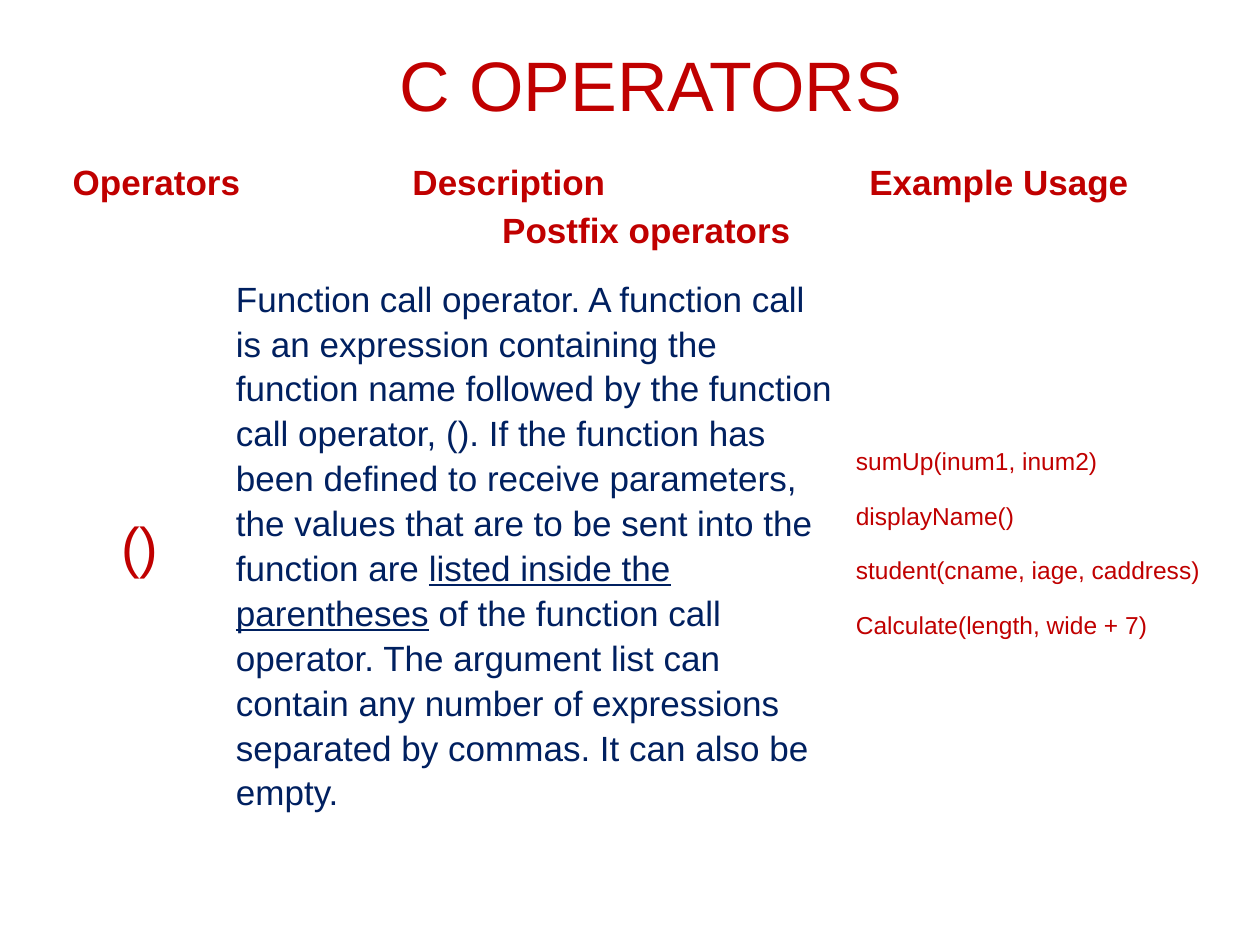
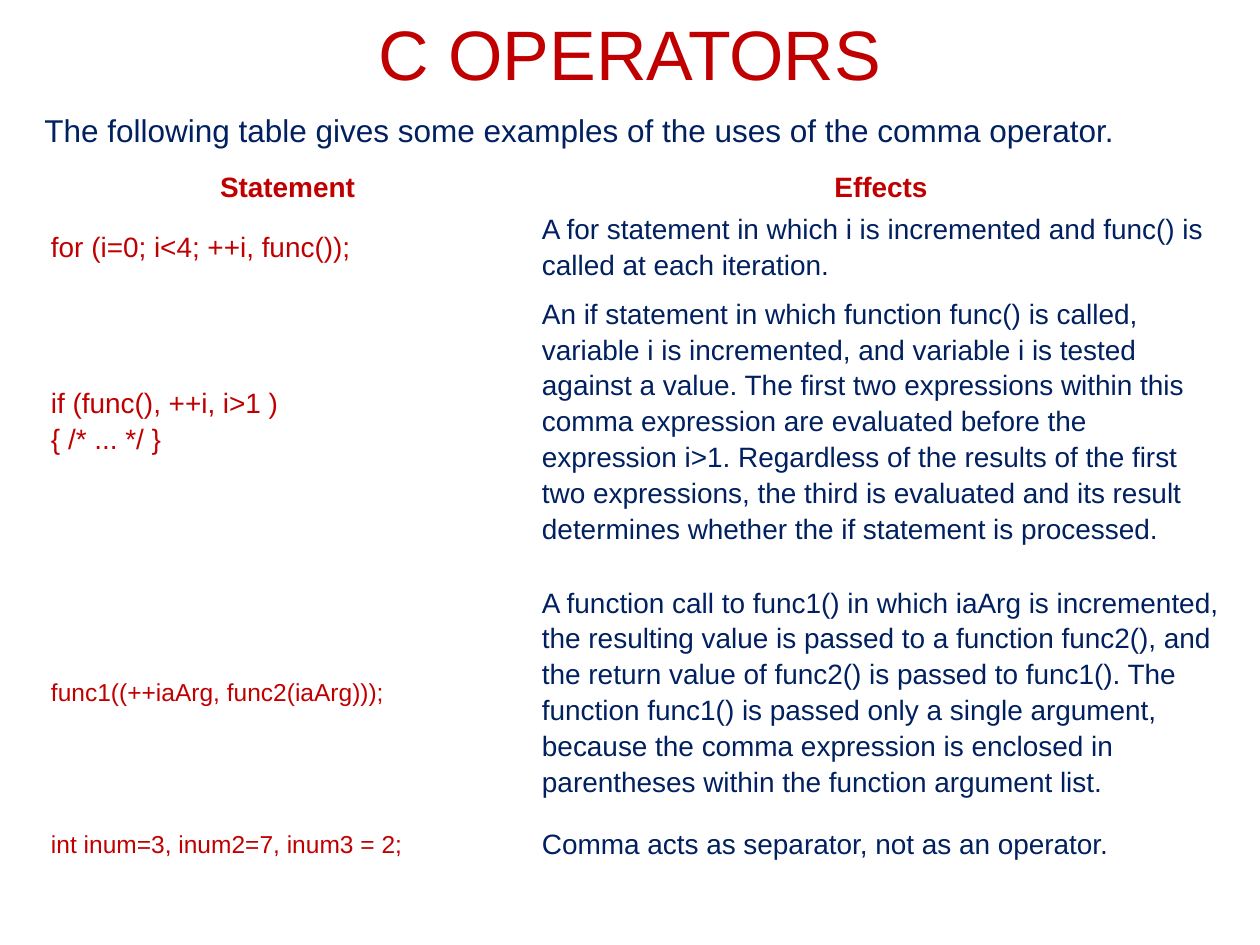
"""Build two slides on C operators, each with a title and a borderless table."""
from pptx import Presentation
from pptx.dml.color import RGBColor
from pptx.enum.text import MSO_ANCHOR, PP_ALIGN
from pptx.util import Pt

PX = 914400 // 126
FONT = "Arial"
COLORS = {"red": "C00000", "navy": "002060"}
TOP, MIDDLE = MSO_ANCHOR.TOP, MSO_ANCHOR.MIDDLE
LEFT, CENTER = PP_ALIGN.LEFT, PP_ALIGN.CENTER


def write(tf, text, size, color, bold=False, align=LEFT, spacing=1.0, gap=0):
    """Write one paragraph per line; text between bars is underlined."""
    tf.word_wrap = True
    for i, line in enumerate(text.split("\n")):
        p = tf.paragraphs[0] if i == 0 else tf.add_paragraph()
        p.alignment = align
        p.line_spacing = spacing
        p.space_before = Pt(gap if i else 0)
        for j, part in enumerate(line.split("|")):
            r = p.add_run()
            r.text = part
            r.font.name = FONT
            r.font.size = Pt(size)
            r.font.bold = bold
            r.font.underline = j % 2 == 1
            r.font.color.rgb = RGBColor.from_string(COLORS[color])


def add_text(s, box, text, size, color, align=LEFT):
    """Add a text box with vertically centred text."""
    sp = s.shapes.add_textbox(*(v * PX for v in box))
    sp.text_frame.vertical_anchor = MIDDLE
    write(sp.text_frame, text, size, color, align=align)


HEAD_20 = dict(size=20, color="red", bold=True, align=CENTER, spacing=1.15)
HEAD_16 = dict(HEAD_20, size=16)
CODE_16 = dict(size=16, color="red", spacing=1.15)
CODE_14 = dict(CODE_16, size=14)
EFFECT = dict(size=16, color="navy", spacing=1.15)

SLIDES = [
    {
        "title": (84, 35, 1134, 97),
        "at": (53, 158),
        "cols": [174, 33, 498, 89, 393],
        "rows": [48, 48, 580],
        "head_rows": 2,
        "merges": [(0, 0, 1), (0, 3, 4), (1, 0, 4), (2, 1, 3)],
        "cells": {
            (0, 0): ("Operators", HEAD_20),
            (0, 2): ("Description", HEAD_20),
            (0, 3): ("Example Usage", HEAD_20),
            (1, 0): ("Postfix operators", HEAD_20),
            (2, 0): ("()", dict(HEAD_20, size=32, bold=False)),
            (2, 1): (
                "Function call operator. A function call is an expression containing "
                "the function name followed by the function call operator, (). If the "
                "function has been defined to receive parameters, the values that are "
                "to be sent into the function are |listed inside the parentheses| of "
                "the function call operator. The argument list can contain any number "
                "of expressions separated by commas. It can also be empty.",
                dict(EFFECT, size=20)),
            (2, 4): (
                "sumUp(inum1, inum2)\ndisplayName()\n"
                "student(cname, iage, caddress)\nCalculate(length, wide + 7)",
                dict(size=14, color="red", gap=15.5)),
        },
    },
    {
        "title": (63, 4, 1134, 97),
        "intro": "The following table gives some examples of the uses of the comma operator.",
        "at": (42, 168),
        "cols": [491, 696],
        "rows": [39, 77, 271, 271, 37],
        "head_rows": 1,
        "merges": [],
        "cells": {
            (0, 0): ("Statement", HEAD_16),
            (0, 1): ("Effects", HEAD_16),
            (1, 0): ("for (i=0; i<4; ++i, func());", CODE_16),
            (1, 1): (
                "A for statement in which i is incremented and func() is called at "
                "each iteration.", EFFECT),
            (2, 0): ("if (func(), ++i, i>1 )\n{ /* ... */ }", CODE_16),
            (2, 1): (
                "An if statement in which function func() is called, variable i is "
                "incremented, and variable i is tested against a value. The first two "
                "expressions within this comma expression are evaluated before the "
                "expression i>1. Regardless of the results of the first two "
                "expressions, the third is evaluated and its result determines "
                "whether the if statement is processed.", EFFECT),
            (3, 0): ("func1((++iaArg, func2(iaArg)));", CODE_14),
            (3, 1): (
                "A function call to func1() in which iaArg is incremented, the "
                "resulting value is passed to a function func2(), and the return value "
                "of func2() is passed to func1(). The function func1() is passed only "
                "a single argument, because the comma expression is enclosed in "
                "parentheses within the function argument list.", EFFECT),
            (4, 0): ("int inum=3, inum2=7, inum3 = 2;", dict(CODE_14, spacing=1.0)),
            (4, 1): ("Comma acts as separator, not as an operator.",
                     dict(EFFECT, spacing=1.0)),
        },
    },
]

prs = Presentation()
prs.slide_width, prs.slide_height = 1260 * PX, 945 * PX

for page in SLIDES:
    s = prs.slides.add_slide(prs.slide_layouts[6])
    if "intro" in page:
        add_text(s, (32, 105, 1166, 50), page["intro"], 18, "navy")

    cols, rows = page["cols"], page["rows"]
    size = (sum(cols), sum(rows))
    table = s.shapes.add_table(
        len(rows), len(cols), *(v * PX for v in page["at"] + size)).table
    table.first_row = table.horz_banding = False
    for column, width in zip(table.columns, cols):
        column.width = width * PX
    for row, height in zip(table.rows, rows):
        row.height = height * PX
    for i in range(len(rows)):
        for j in range(len(cols)):
            cell = table.cell(i, j)
            cell.fill.background()
            cell.margin_left = cell.margin_right = 9 * PX
            cell.margin_top = cell.margin_bottom = 0
            cell.vertical_anchor = TOP if i < page["head_rows"] else MIDDLE
    for i, first, last in page["merges"]:
        table.cell(i, first).merge(table.cell(i, last))
    for (i, j), (text, style) in page["cells"].items():
        write(table.cell(i, j).text_frame, text, **style)

    add_text(s, page["title"], "C OPERATORS", 40, "red", CENTER)

prs.save("out.pptx")
